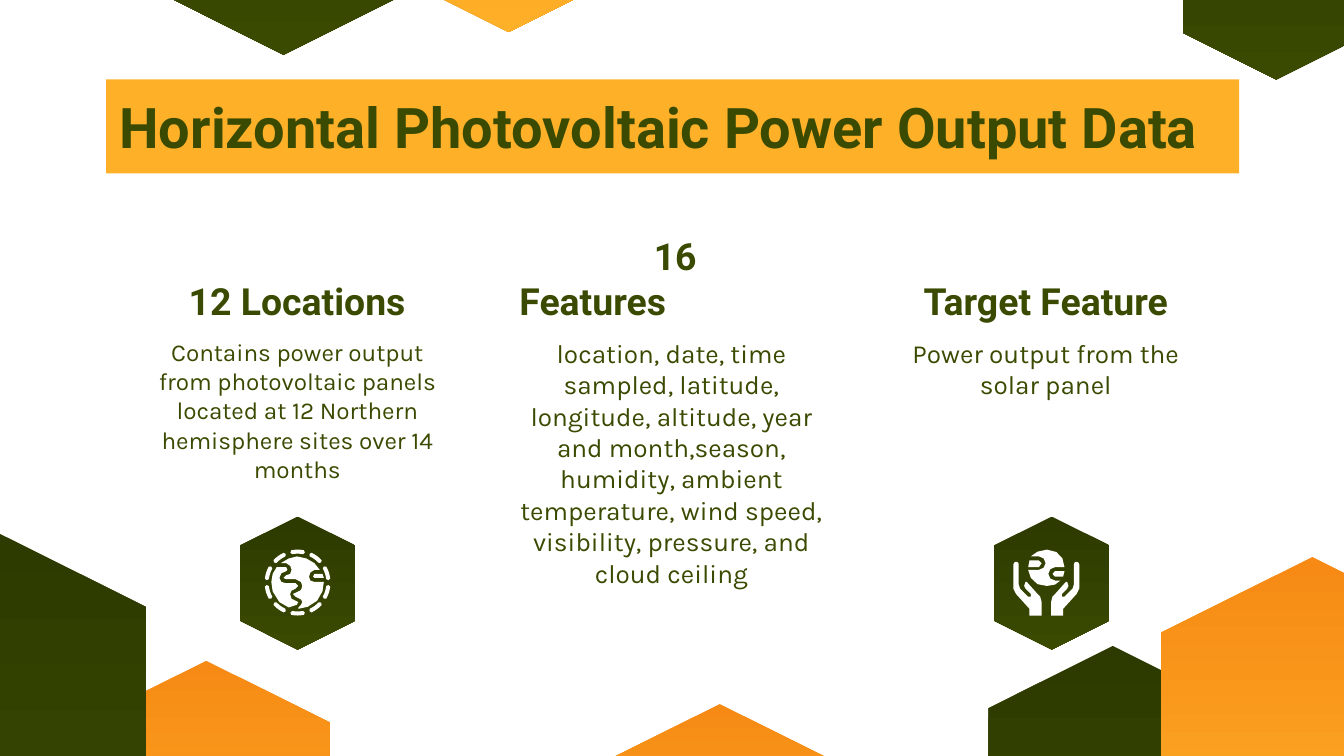
from dataclasses import dataclass
from math import cos, radians, sin

from pptx import Presentation
from pptx.dml.color import RGBColor as RGB
from pptx.enum.shapes import MSO_SHAPE as Preset
from pptx.enum.text import MSO_ANCHOR as Anchor, PP_ALIGN as Align
from pptx.util import Pt


@dataclass(frozen=True)
class Theme:
    green: RGB = RGB.from_string("3A4A01")
    amber: RGB = RGB.from_string("FEB128")
    white: RGB = RGB.from_string("FFFFFF")
    green_fade: tuple = (RGB.from_string("2D3A00"), RGB.from_string("3A4A01"))
    amber_fade: tuple = (RGB.from_string("F68A14"), RGB.from_string("FEB128"))
    heading_font: str = "Roboto"
    body_font: str = "Karla"
    title_size: int = 30
    heading_size: int = 20
    body_size: int = 14
    small_body_size: int = 13


class Deck:
    hexagon_ratio = 0.866
    inset = 7.2
    icon_unit = 0.72
    freeform_unit = 0.01

    def __init__(self, slide, theme):
        self.slide = slide
        self.theme = theme

    def hexagon(self, left, top, length, fade):
        box = (left, top, length, length * self.hexagon_ratio)
        hexagon = self.slide.shapes.add_shape(Preset.HEXAGON, *map(Pt, box))
        hexagon.rotation = 90
        hexagon.shadow.inherit = False
        hexagon.line.fill.background()
        hexagon.fill.gradient()
        hexagon.fill.gradient_angle = 0
        for stop, colour in zip(hexagon.fill.gradient_stops, fade):
            stop.color.rgb = colour

    def set_words(self, frame, words, font, size, bold=False,
                  align=Align.CENTER, anchor=Anchor.TOP, indent=0):
        frame.word_wrap = True
        frame.vertical_anchor = anchor
        frame.margin_left = frame.margin_right = Pt(self.inset)
        frame.margin_top = frame.margin_bottom = Pt(self.inset)
        paragraph = frame.paragraphs[0]
        paragraph.alignment = align
        if indent:
            paragraph._p.get_or_add_pPr().set("indent", str(Pt(indent)))
        run = paragraph.add_run()
        run.text = words
        run.font.name = font
        run.font.size = Pt(size)
        run.font.bold = bold
        run.font.color.rgb = self.theme.green

    def banner(self, left, top, width, height, words):
        banner = self.slide.shapes.add_shape(
            Preset.RECTANGLE, *map(Pt, (left, top, width, height)))
        banner.shadow.inherit = False
        banner.fill.solid()
        banner.fill.fore_color.rgb = self.theme.amber
        banner.line.fill.background()
        self.set_words(banner.text_frame, words, self.theme.heading_font,
                       self.theme.title_size, bold=True, align=Align.LEFT)

    def text(self, left, top, width, height, words, font, size, **style):
        box = self.slide.shapes.add_textbox(
            *map(Pt, (left, top, width, height)))
        self.set_words(box.text_frame, words, font, size, **style)

    def icon(self, left, top, outlines):
        group = self.slide.shapes.add_group_shape()
        for outline in outlines:
            start, *others = [
                (round((left + x * self.icon_unit) / self.freeform_unit),
                 round((top + y * self.icon_unit) / self.freeform_unit))
                for x, y in outline]
            builder = group.shapes.build_freeform(
                *start, scale=Pt(self.freeform_unit))
            builder.add_line_segments(others, close=True)
            piece = builder.convert_to_shape()
            piece.shadow.inherit = False
            piece.fill.solid()
            piece.fill.fore_color.rgb = self.theme.white
            piece.line.fill.background()


def orbit_dash(middle):
    def at(radius, offset):
        angle = radians(middle + offset)
        return 24.5 + radius * cos(angle), 24.5 + radius * sin(angle)

    outer = [at(24.5, offset) for offset in (-11, -5, 0, 5, 11)]
    inner = [at(21.5, offset) for offset in (11, 5, 0, -5, -11)]
    return [*outer, at(23, 13.5), *inner, at(23, -13.5)]


GLOBE = [
    [(24, 5), (18, 6.5), (12, 10), (16, 10), (19, 12), (20, 15), (19, 18),
     (16, 19), (14, 21), (16, 22), (23, 22), (27, 24), (28, 27), (27, 30),
     (23, 32), (21, 33), (23, 35), (27, 37), (28, 39), (27, 41), (25, 43),
     (25, 44), (32, 42.5), (39, 38), (43, 31), (44, 24), (37, 24), (34, 23),
     (33, 20), (34, 17), (37, 15), (41, 15), (37, 10), (31, 6.5)],
    [(9, 13), (6, 18), (5, 24), (6, 31), (11, 39), (18, 43), (24, 41),
     (25, 39), (23, 38), (20, 36.5), (19, 33), (20, 30.5), (23, 29),
     (25, 27), (23, 25), (16, 25), (12.5, 24), (11, 21), (12.5, 17.5),
     (16, 16), (17, 15), (16, 13)],
    [(37, 18), (36, 20), (37, 21), (44, 21), (43, 18)],
    *[orbit_dash(36 * step - 90) for step in range(10)],
]

RIGHT_HAND = [
    (47, 9), (45.5, 9.5), (45, 11), (45, 26), (44, 29), (38, 35), (36, 35),
    (36, 33), (40, 29), (41, 27), (40, 24), (39, 24), (31, 33), (29, 35),
    (28, 39), (28, 49), (37, 49), (37, 44), (47, 33), (49, 29), (49, 11),
    (48.4, 9.6)]

HELD_GLOBE = [
    RIGHT_HAND,
    [(49 - x, y) for x, y in RIGHT_HAND],
    [(25, 0), (18, 1.5), (13, 5), (19, 5), (22.5, 6.5), (24, 10),
     (22.5, 13.5), (19, 15), (11, 15), (13, 21), (18, 25.7), (25, 27),
     (31, 26), (35, 23), (31, 23), (27.5, 21.5), (26, 18), (27.5, 14.5),
     (31, 13), (38, 13), (36.5, 6.5), (32, 1.8)],
    [(31, 16), (29, 18), (31, 20), (37, 20), (38, 16)],
    [(12, 8), (11, 13), (19, 13), (21, 10), (19, 8)],
]


def main():
    theme = Theme()
    presentation = Presentation()
    presentation.slide_width, presentation.slide_height = Pt(720), Pt(405)
    deck = Deck(presentation.slides.add_slide(presentation.slide_layouts[6]),
                theme)

    for left, top, length, fade in (
            (33.8, 364.3, 153.4, theme.amber_fade),
            (-104.4, 295.9, 195.8, theme.green_fade),
            (519.1, 356.4, 154.1, theme.green_fade),
            (80.6, -103.7, 142.6, theme.green_fade),
            (207.4, -104.4, 130.3, theme.amber_fade),
            (625.7, -65.5, 115.9, theme.green_fade),
            (609.1, 311, 187.9, theme.amber_fade),
            (320.4, 385.9, 130.3, theme.amber_fade)):
        deck.hexagon(left, top, length, fade)

    deck.banner(56.9, 42.5, 607, 50.4,
                "Horizontal Photovoltaic Power Output Data")

    centred = {"align": Align.CENTER}
    indented = {"align": Align.LEFT, "indent": 72}
    columns = (
        ("12 Locations", centred, theme.small_body_size,
         "Contains power output from photovoltaic panels located at "
         "12 Northern hemisphere sites over 14 months"),
        ("16 Features", indented, theme.body_size,
         "location, date, time sampled, latitude, longitude, altitude, "
         "year and month,season, humidity, ambient temperature, wind speed, "
         "visibility, pressure, and cloud ceiling"),
        ("Target Feature", centred, theme.body_size,
         "Power output from the solar panel"))
    for index, (heading, placing, size, body) in enumerate(columns):
        left = 70.7 + 200.5 * index
        deck.text(left, 173.5, 177.1, 68.4, body, theme.body_font, size)
        deck.text(left, 148.3, 177.1, 31.7, heading, theme.heading_font,
                  theme.heading_size, bold=True, anchor=Anchor.BOTTOM,
                  **placing)

    for badge_left, icon_left, outlines in ((123.8, 141.8, GLOBE),
                                            (527.8, 542.9, HELD_GLOBE)):
        deck.hexagon(badge_left, 281.5, 71.3, theme.green_fade)
        deck.icon(icon_left, 294.5, outlines)

    presentation.save("out.pptx")


if __name__ == "__main__":
    main()
